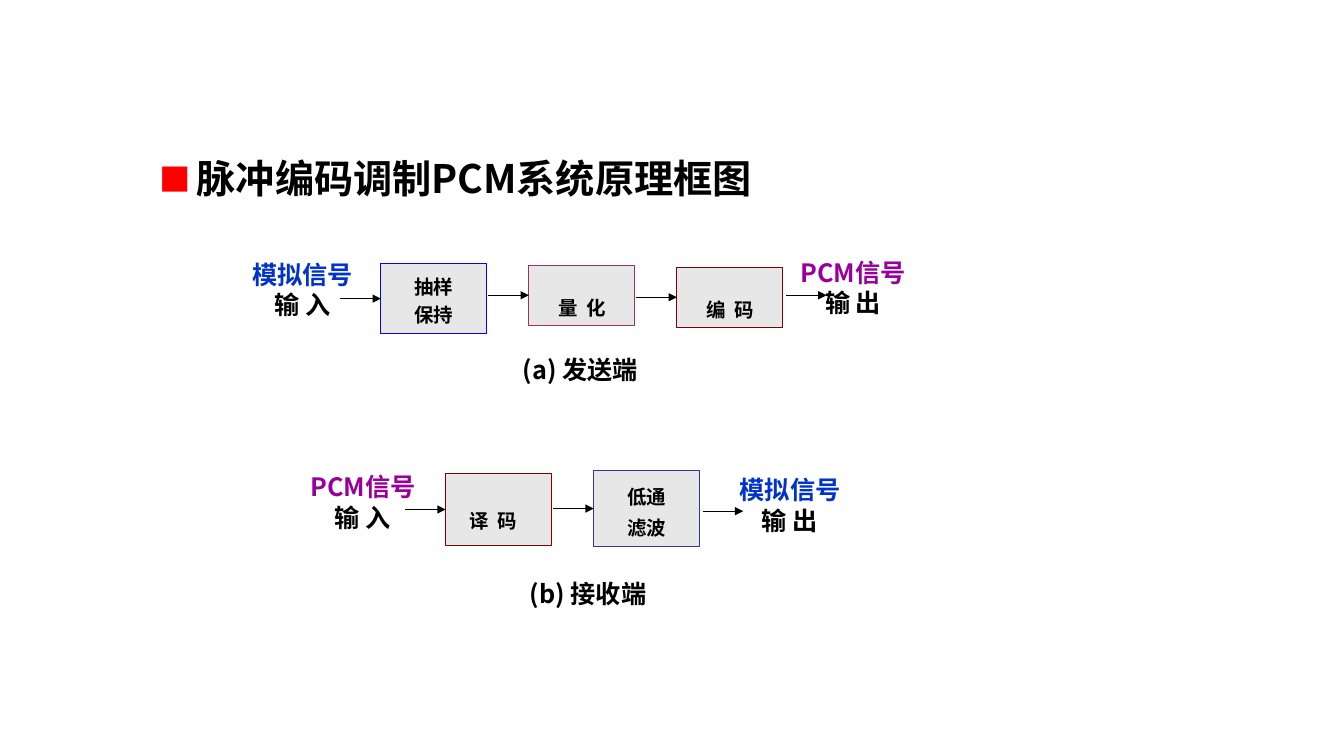
from dataclasses import dataclass

from lxml import etree
from pptx import Presentation
from pptx.dml.color import RGBColor
from pptx.enum.shapes import MSO_CONNECTOR, MSO_SHAPE
from pptx.enum.text import MSO_ANCHOR, PP_ALIGN
from pptx.oxml.ns import qn
from pptx.util import Cm, Pt

RECTANGLE = MSO_SHAPE.RECTANGLE
STRAIGHT = MSO_CONNECTOR.STRAIGHT
CENTER, LEFT = PP_ALIGN.CENTER, PP_ALIGN.LEFT
MIDDLE, TOP = MSO_ANCHOR.MIDDLE, MSO_ANCHOR.TOP
LEFT_SIDE = 1


@dataclass(frozen=True)
class Theme:
    """Colours, fonts and sizes of the slide."""
    font: str = "Noto Sans CJK SC"
    serif: str = "Times New Roman"
    ink: str = "000000"
    analog: str = "0033CC"
    digital: str = "990099"
    bullet: str = "FF0000"
    block: str = "E7E7E7"
    title_size: int = 28
    label_size: int = 18
    block_size: int = 24
    line_width: float = 0.75


THEME = Theme()
BLOCK_WIDTH, BLOCK_PITCH = 2.67, 3.73
ARROW_LENGTH, ARROW_GAP = 1.02, 0.08
LABEL_WIDTH, LABEL_HEIGHT = 3.4, 1.9


def rgb(code):
    """Turn a hex code into a colour."""
    return RGBColor.from_string(code)


def add_text(paragraph, text, *, size, color=THEME.ink, latin=THEME.font,
             subscript=False, tracking=0):
    """Append a bold run to a paragraph."""
    run = paragraph.add_run()
    run.text = text
    font = run.font
    font.size, font.bold, font.name = Pt(size), True, latin
    font.color.rgb = rgb(color)
    properties = run._r.get_or_add_rPr()
    etree.SubElement(properties, qn("a:ea"), typeface=THEME.font)
    if subscript:
        properties.set("baseline", "-25000")
    if tracking:
        properties.set("spc", str(tracking))


def write_lines(frame, lines, *, colors=(), spacing=None, align=CENTER, **style):
    """Write one paragraph for each line."""
    for index, line in enumerate(lines):
        paragraph = frame.add_paragraph() if index else frame.paragraphs[0]
        paragraph.alignment = align
        paragraph.line_spacing = spacing
        color = colors[index] if colors else THEME.ink
        add_text(paragraph, line, color=color, **style)


def add_box(slide, left, top, width, height):
    """Add a wrapping text box and return its frame."""
    box = slide.shapes.add_textbox(Cm(left), Cm(top), Cm(width), Cm(height))
    frame = box.text_frame
    frame.word_wrap = True
    frame.vertical_anchor = TOP
    return frame


def add_title(slide):
    """Add the bulleted heading."""
    paragraph = add_box(slide, 3.76, 3.76, 19.89, 1.57).paragraphs[0]
    paragraph.alignment = LEFT
    properties = paragraph._p.get_or_add_pPr()
    properties.set("marL", str(Cm(0.95)))
    properties.set("indent", str(Cm(-0.95)))
    color = etree.SubElement(properties, qn("a:buClr"))
    etree.SubElement(color, qn("a:srgbClr"), val=THEME.bullet)
    etree.SubElement(properties, qn("a:buSzPct"), val="80000")
    etree.SubElement(properties, qn("a:buFont"), typeface=THEME.font)
    etree.SubElement(properties, qn("a:buChar"), char="■")
    add_text(paragraph, "脉冲编码调制", size=THEME.title_size, latin=THEME.serif)
    add_text(paragraph, "PCM系统原理框图", size=THEME.title_size)


def add_signal(slide, center, top, signal, direction, color):
    """Add a signal label with its direction below."""
    frame = add_box(slide, center - LABEL_WIDTH / 2, top, LABEL_WIDTH, LABEL_HEIGHT)
    write_lines(frame, (signal, direction), colors=(color, THEME.ink),
                size=THEME.label_size)


def add_caption(slide, center, top, text):
    """Add a centred caption under a chain."""
    frame = add_box(slide, center - 2, top, 4, 1.04)
    write_lines(frame, (text,), size=THEME.label_size)


def add_block(slide, left, top, height, lines, outline, spacing=None,
              tracking=0, right_inset=0.25):
    """Add one processing block."""
    block = slide.shapes.add_shape(RECTANGLE, Cm(left), Cm(top),
                                   Cm(BLOCK_WIDTH), Cm(height))
    block.shadow.inherit = False
    block.fill.solid()
    block.fill.fore_color.rgb = rgb(THEME.block)
    block.line.color.rgb = rgb(outline)
    block.line.width = Pt(THEME.line_width)
    frame = block.text_frame
    frame.word_wrap = True
    frame.vertical_anchor = MIDDLE
    frame.margin_right = Cm(right_inset)
    write_lines(frame, lines, spacing=spacing, size=THEME.block_size,
                subscript=True, tracking=tracking)
    return block


def add_arrow(slide, start, y, target=None):
    """Add a level arrow, joined to its target block if there is one."""
    arrow = slide.shapes.add_connector(STRAIGHT, Cm(start), Cm(y),
                                       Cm(start + ARROW_LENGTH), Cm(y))
    arrow.line.color.rgb = rgb(THEME.ink)
    arrow.line.width = Pt(THEME.line_width)
    outline = arrow.line._get_or_add_ln()
    etree.SubElement(outline, qn("a:tailEnd"), type="triangle")
    etree.SubElement(arrow._element.spPr, qn("a:effectLst"))
    if target is not None:
        arrow.end_connect(target, LEFT_SIDE)


def add_chain(slide, left, blocks, exit_y):
    """Add evenly spaced blocks with an arrow into each and one out."""
    for index, (top, height, lines, outline, style) in enumerate(blocks):
        x = left + index * BLOCK_PITCH
        block = add_block(slide, x, top, height, lines, outline, **style)
        add_arrow(slide, x - ARROW_LENGTH, top + height / 2, block)
    add_arrow(slide, x + BLOCK_WIDTH + ARROW_GAP, exit_y)


def main():
    """Build and save the slide."""
    presentation = Presentation()
    presentation.slide_width, presentation.slide_height = Cm(33.87), Cm(19.05)
    slide = presentation.slides.add_slide(presentation.slide_layouts[6])
    add_title(slide)

    spaced = {"spacing": 0.96, "tracking": 150}
    sender = (
        (6.65, 1.75, ("抽样", "保持"), "0000FF", {"spacing": Pt(20)}),
        (6.68, 1.52, ("量 化",), "993366", spaced),
        (6.73, 1.52, ("编 码",), "800000", spaced),
    )
    receiver = (
        (11.94, 1.8, ("译 码",), "800000", {"tracking": 150, "right_inset": 0.5}),
        (11.86, 1.91, ("低通", "滤波"), "333399", {"spacing": Pt(22)}),
    )
    add_chain(slide, 9.6, sender, 7.44)
    add_chain(slide, 11.23, receiver, 12.88)

    add_signal(slide, 7.63, 6.4, "模拟信号", "输 入", THEME.analog)
    add_signal(slide, 21.5, 6.35, "PCM信号", "输 出", THEME.digital)
    add_signal(slide, 9.15, 11.76, "PCM信号", "输 入", THEME.digital)
    add_signal(slide, 19.91, 11.84, "模拟信号", "输 出", THEME.analog)
    add_caption(slide, 14.63, 8.81, "(a) 发送端")
    add_caption(slide, 14.82, 14.45, "(b) 接收端")
    presentation.save("out.pptx")


if __name__ == "__main__":
    main()
